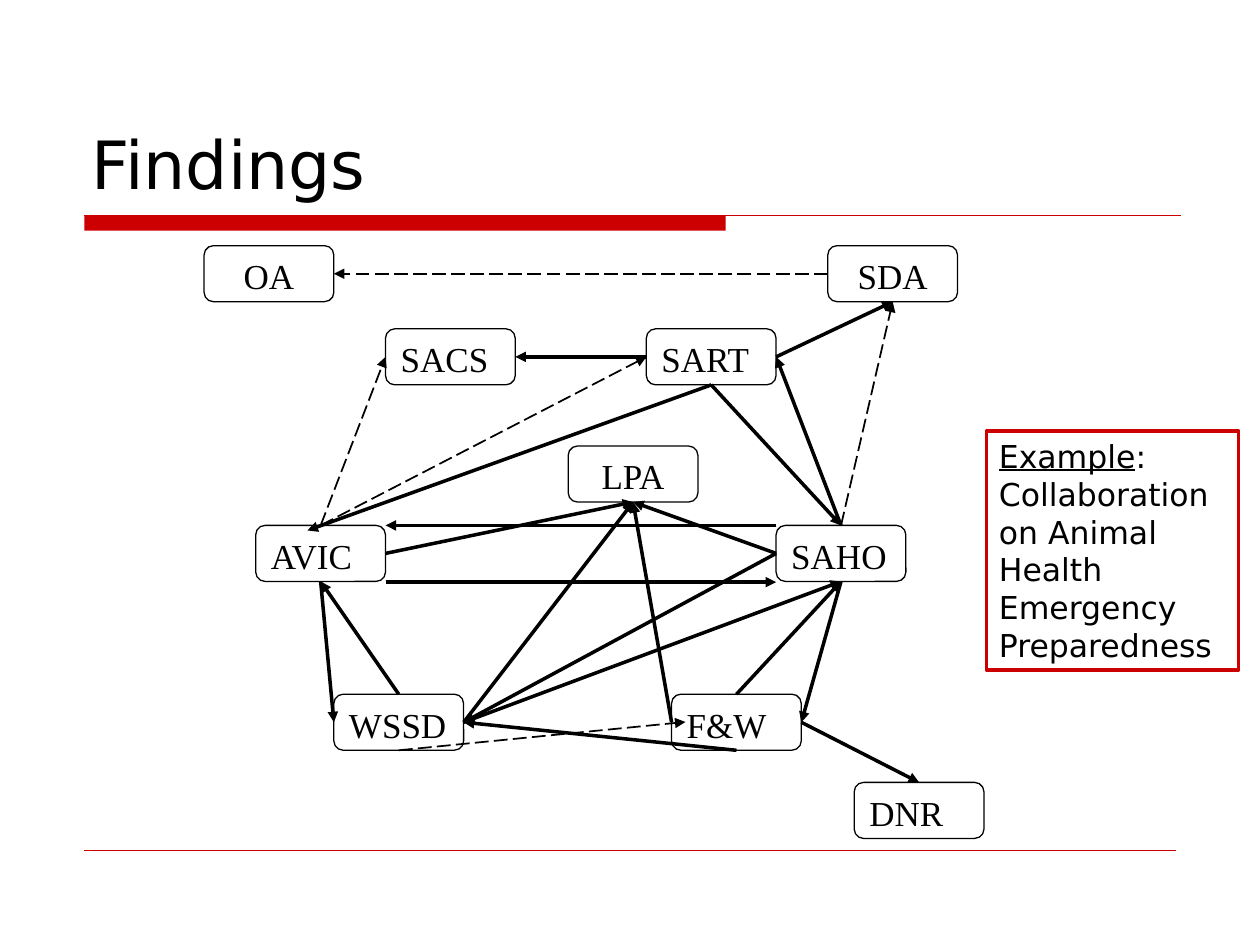
from lxml import etree
from pptx import Presentation
from pptx.dml.color import RGBColor
from pptx.enum import dml, shapes, text
from pptx.oxml import ns
from pptx.util import Inches, Pt

BLACK, WHITE, RED = "000000", "FFFFFF", "CC0000"
SANS, SERIF = "DejaVu Sans", "Times New Roman"
TOP, LEFT, BOTTOM, RIGHT = range(4)
NODE_W, NODE_H = 1.03, 0.445

TITLE = "Findings"
EXAMPLE = ["Example", ": Collaboration on Animal Health Emergency Preparedness"]
CENTERED = {"LPA", "SDA", "OA"}
AGENCIES = {
    "LPA": (4.51, 3.54),
    "AVIC": (2.03, 4.17),
    "SAHO": (6.16, 4.17),
    "F&W": (5.33, 5.51),
    "SDA": (6.57, 1.95),
    "WSSD": (2.65, 5.51),
    "OA": (1.62, 1.95),
    "SACS": (3.06, 2.61),
    "DNR": (6.78, 6.21),
    "SART": (5.13, 2.61),
}
STRONG_TIES = [
    (("WSSD", RIGHT), ("LPA", BOTTOM)),
    (("AVIC", RIGHT), ("LPA", BOTTOM)),
    (("SAHO", LEFT), ("LPA", BOTTOM)),
    (("SAHO", LEFT), ("WSSD", RIGHT)),
    (("F&W", BOTTOM), ("WSSD", RIGHT)),
    (("SAHO", BOTTOM), ("F&W", RIGHT)),
    ((6.16, 4.17), (3.06, 4.17)),
    (("F&W", LEFT), ("LPA", BOTTOM)),
    (("WSSD", TOP), ("AVIC", BOTTOM)),
    (("WSSD", RIGHT), ("SAHO", BOTTOM)),
    (("F&W", RIGHT), ("DNR", TOP)),
    (("AVIC", BOTTOM), ("WSSD", LEFT)),
    (("SART", RIGHT), ("SDA", BOTTOM)),
    ((3.06, 4.62), (6.16, 4.62)),
    (("SART", LEFT), ("SACS", RIGHT)),
    (("SART", BOTTOM), (2.44, 4.21)),
    (("SART", BOTTOM), ("SAHO", TOP)),
    (("F&W", TOP), ("SAHO", BOTTOM)),
    (("SAHO", TOP), ("SART", RIGHT)),
]
WEAK_TIES = [
    (("AVIC", TOP), ("SACS", LEFT)),
    (("SDA", LEFT), ("OA", RIGHT)),
    (("WSSD", BOTTOM), (5.44, 5.73)),
    (("SAHO", TOP), ("SDA", BOTTOM)),
    (("AVIC", TOP), ("SART", LEFT)),
]


def rgb(color):
    return RGBColor.from_string(color)


def style_text(frame, size, font, anchor=text.MSO_ANCHOR.TOP, align=text.PP_ALIGN.LEFT):
    frame.word_wrap = True
    frame.vertical_anchor = anchor
    paragraph = frame.paragraphs[0]
    paragraph.alignment = align
    for run in paragraph.runs:
        run.font.size, run.font.name = Pt(size), font
        run.font.color.rgb = rgb(BLACK)


def add_box(slide, kind, box, fill=None, line=None, width=0.75):
    shape = slide.shapes.add_shape(kind, *map(Inches, box))
    shape.shadow.inherit = False
    if fill:
        shape.fill.solid()
        shape.fill.fore_color.rgb = rgb(fill)
    else:
        shape.fill.background()
    if line:
        shape.line.color.rgb = rgb(line)
        shape.line.width = Pt(width)
    else:
        shape.line.fill.background()
    return shape


def add_line(slide, start, end, color, width):
    line = slide.shapes.add_connector(
        shapes.MSO_CONNECTOR.STRAIGHT, *map(Inches, (*start, *end)))
    line.line.color.rgb = rgb(color)
    line.line.width = Pt(width)
    etree.SubElement(line._element.spPr, ns.qn("a:effectLst"))
    return line


def add_tie(slide, nodes, start, end, width, dashed):
    points = [(0, 0) if spot[0] in nodes else spot for spot in (start, end)]
    tie = add_line(slide, *points, BLACK, width)
    if start[0] in nodes:
        tie.begin_connect(nodes[start[0]], start[1])
    if end[0] in nodes:
        tie.end_connect(nodes[end[0]], end[1])
    if dashed:
        tie.line.dash_style = dml.MSO_LINE.LONG_DASH
    etree.SubElement(tie.line._get_or_add_ln(), ns.qn("a:tailEnd"), type="triangle")


def main():
    deck = Presentation()
    deck.slide_width, deck.slide_height = Inches(10), Inches(7.5)
    slide = deck.slides.add_slide(deck.slide_layouts[6])
    rectangle = shapes.MSO_SHAPE.RECTANGLE

    add_box(slide, rectangle, (0.67, 1.71, 5.09, 0.12), RED)
    add_line(slide, (0.67, 1.71), (9.37, 1.71), RED, 0.75)
    add_line(slide, (0.67, 6.75), (9.33, 6.75), RED, 0.25)

    nodes = {}
    for agency, corner in AGENCIES.items():
        node = add_box(slide, shapes.MSO_SHAPE.FLOWCHART_ALTERNATE_PROCESS,
                       (*corner, NODE_W, NODE_H), WHITE, BLACK)
        node.text_frame.text = agency
        align = text.PP_ALIGN.CENTER if agency in CENTERED else text.PP_ALIGN.LEFT
        style_text(node.text_frame, 20, SERIF, align=align)
        nodes[agency] = node

    for ties, width, dashed in ((STRONG_TIES, 2, False), (WEAK_TIES, 1, True)):
        for start, end in ties:
            add_tie(slide, nodes, start, end, width, dashed)

    title = slide.shapes.add_textbox(*map(Inches, (0.63, 0.33, 8.75, 1.33)))
    title.text_frame.text = TITLE
    style_text(title.text_frame, 38, SANS, text.MSO_ANCHOR.BOTTOM)

    example = add_box(slide, rectangle, (7.83, 3.42, 2, 1.9), line=RED, width=2)
    for part in EXAMPLE:
        example.text_frame.paragraphs[0].add_run().text = part
    style_text(example.text_frame, 18, SANS)
    example.text_frame.paragraphs[0].runs[0].font.underline = True

    deck.save("out.pptx")


if __name__ == "__main__":
    main()
